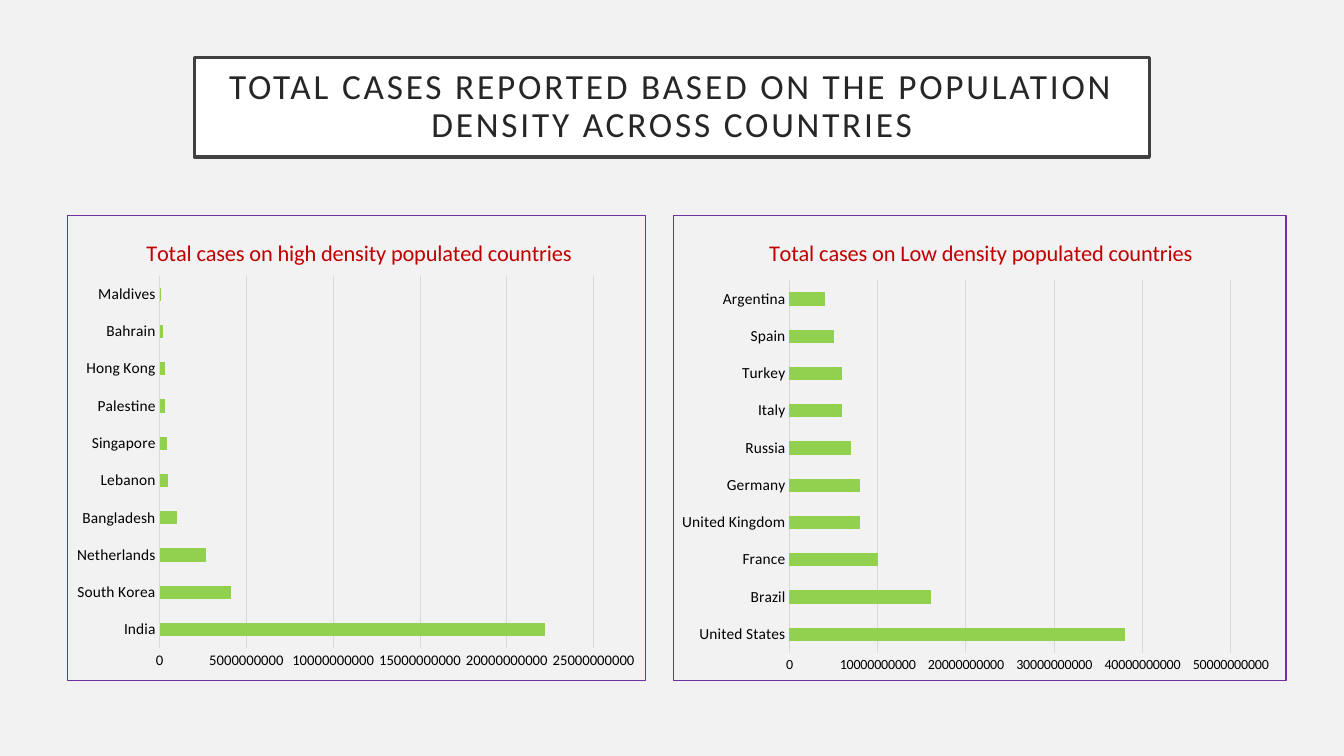
from lxml import etree
from pptx import Presentation
from pptx import util as u
from pptx.chart.data import CategoryChartData
from pptx.dml.color import RGBColor
from pptx.enum import chart as ch, shapes, text
from pptx.oxml import parse_xml
from pptx.oxml.ns import nsdecls, qn

COLORS = {"page": "F2F2F2", "white": "FFFFFF", "frame": "404040", "ink": "262626",
          "label": "000000", "heading": "C00000", "grid": "D9D9D9",
          "border": "7030A0", "bar": "92D050"}
FONT = "Calibri"
BILLION = 10 ** 9

HIGH_DENSITY = {"India": 22.2, "South Korea": 4.1, "Netherlands": 2.7, "Bangladesh": 1,
                "Lebanon": 0.5, "Singapore": 0.4, "Palestine": 0.3, "Hong Kong": 0.3,
                "Bahrain": 0.2, "Maldives": 0.1}
LOW_DENSITY = {"United States": 38, "Brazil": 16, "France": 10, "United Kingdom": 8,
               "Germany": 8, "Russia": 7, "Italy": 6, "Turkey": 6, "Spain": 5,
               "Argentina": 4}


def rgb(name):
    return RGBColor.from_string(COLORS[name])


def style_font(font, size, color):
    font.name, font.size, font.bold = FONT, u.Pt(size), False
    font.color.rgb = rgb(color)


def style_line(line, color, width=0.75):
    line.color.rgb = rgb(color)
    line.width = u.Pt(width)


def write(tf, content, size, color, spacing=None, line_spacing=None):
    p = tf.paragraphs[0]
    p.alignment = text.PP_ALIGN.CENTER
    if line_spacing:
        p.line_spacing = line_spacing
    r = p.add_run()
    r.text = content
    style_font(r.font, size, color)
    if spacing:
        r.font._element.set("spc", str(spacing * 100))


def manual_layout(target, **values):
    """Return a c:layout with fractions of the chart, replacing any in the parent."""
    for old in target.findall(qn("c:layout")):
        target.remove(old)
    layout = etree.Element(qn("c:layout"))
    manual = etree.SubElement(layout, qn("c:manualLayout"))
    if "w" in values:
        etree.SubElement(manual, qn("c:layoutTarget")).set("val", "inner")
    for mode in ("xMode", "yMode"):
        etree.SubElement(manual, qn("c:" + mode)).set("val", "edge")
    for key, value in values.items():
        etree.SubElement(manual, qn("c:" + key)).set("val", str(value))
    return layout


class Deck:
    def __init__(self):
        self.prs = Presentation()
        self.prs.slide_width, self.prs.slide_height = u.Inches(13.33), u.Inches(7.5)
        self.slide = self.prs.slides.add_slide(self.prs.slide_layouts[6])
        fill = self.slide.background.fill
        fill.solid()
        fill.fore_color.rgb = rgb("page")

    def title_box(self, content, *box):
        sp = self.slide.shapes.add_shape(shapes.MSO_SHAPE.RECTANGLE, *map(u.Inches, box))
        sp.shadow.inherit = False
        sp.fill.solid()
        sp.fill.fore_color.rgb = rgb("white")
        style_line(sp.line, "frame", 2.5)
        tf = sp.text_frame
        tf.word_wrap = True
        tf.vertical_anchor = text.MSO_ANCHOR.MIDDLE
        tf.margin_left = tf.margin_right = tf.margin_top = tf.margin_bottom = u.Inches(0.2)
        write(tf, content, 25.2, "ink", spacing=2, line_spacing=0.9)

    def bar_chart(self, heading, cases, box, top, step, value_size, heading_at, plot):
        data = CategoryChartData()
        data.categories = list(cases)
        data.add_series("Series 1", [round(v * BILLION) for v in cases.values()])
        chart = self.slide.shapes.add_chart(
            ch.XL_CHART_TYPE.BAR_CLUSTERED, *map(u.Inches, box), data).chart
        style_font(chart.font, 10, "label")
        chart.has_legend = False

        title = chart.chart_title
        write(title.text_frame, heading, 16, "heading")
        title.include_in_layout = False
        el = title._element
        layout = manual_layout(el, **heading_at)
        el.find(qn("c:tx")).addnext(layout)

        bars = chart.plots[0]
        bars.gap_width = 182
        bars.vary_by_categories = False
        fill = bars.series[0].format.fill
        fill.solid()
        fill.fore_color.rgb = rgb("bar")

        for axis, size in ((chart.category_axis, 11), (chart.value_axis, value_size)):
            axis.major_tick_mark = axis.minor_tick_mark = ch.XL_TICK_MARK.NONE
            style_font(axis.tick_labels.font, size, "label")
        style_line(chart.category_axis.format.line, "grid")
        values = chart.value_axis
        values.minimum_scale, values.maximum_scale = 0, top * BILLION
        values.major_unit = step * BILLION
        values.tick_labels.number_format = "0"
        values.tick_labels.number_format_is_linked = False
        values.format.line.fill.background()
        style_line(values.major_gridlines.format.line, "grid")

        area = chart.element.find(qn("c:chart"))
        plot_area = area.find(qn("c:plotArea"))
        plot_area.insert(0, manual_layout(plot_area, **plot))
        area.addnext(parse_xml(
            f'<c:spPr {nsdecls("c", "a")}><a:noFill/><a:ln w="{u.Pt(0.75)}"><a:solidFill>'
            f'<a:srgbClr val="{COLORS["border"]}"/></a:solidFill></a:ln></c:spPr>'))


def main():
    deck = Deck()
    deck.title_box("TOTAL CASES REPORTED BASED ON THE POPULATION DENSITY ACROSS COUNTRIES",
                   1.93, 0.57, 9.47, 0.99)
    deck.bar_chart("Total cases on high density populated countries", HIGH_DENSITY,
                   (0.66, 2.13, 5.75, 4.63), top=25, step=5, value_size=10.5,
                   heading_at=dict(x=0.13, y=0.04),
                   plot=dict(x=0.16, y=0.13, w=0.75, h=0.8))
    deck.bar_chart("Total cases on Low density populated countries", LOW_DENSITY,
                   (6.67, 2.13, 6.09, 4.63), top=50, step=10, value_size=10,
                   heading_at=dict(x=0.15, y=0.04),
                   plot=dict(x=0.19, y=0.14, w=0.72, h=0.8))
    deck.prs.save("out.pptx")


if __name__ == "__main__":
    main()
